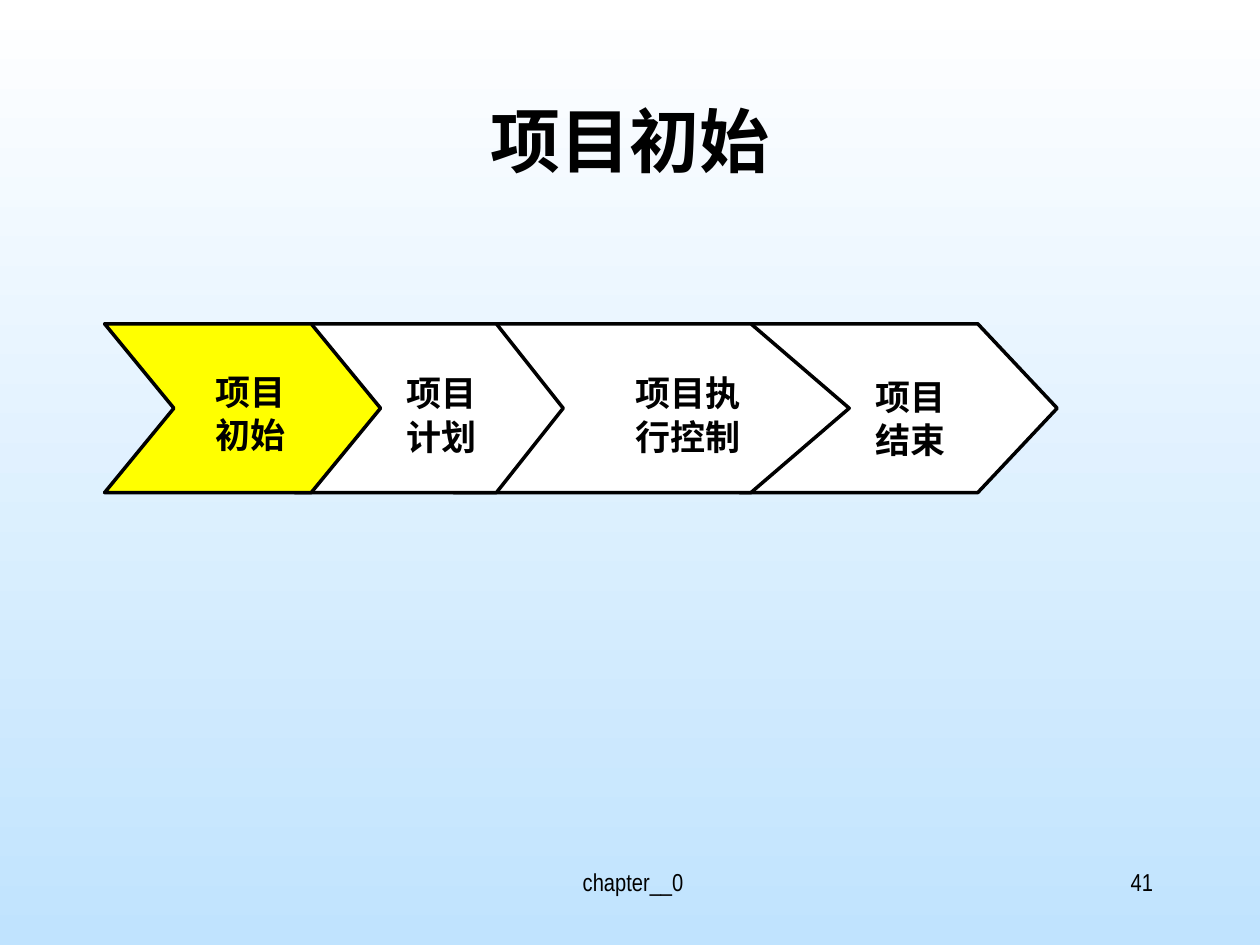
import pptx
import pptx.util
import pptx.dml.color
import pptx.enum.shapes
import pptx.enum.text
import pptx.oxml.ns
import lxml.etree

Inches = pptx.util.Inches
Pt = pptx.util.Pt
Align = pptx.enum.text.PP_ALIGN
Anchor = pptx.enum.text.MSO_ANCHOR

COLORS = {"ink": "000000", "plain": "FFFFFF", "active": "FFFF00", "sky": "C0E3FE"}
LATIN = "Arial Narrow"
HAN = "Noto Sans CJK SC"


def color(name):
    return pptx.dml.color.RGBColor.from_string(COLORS[name])


def style(para, size, face=LATIN, bold=False, align=Align.CENTER, pitch=None):
    para.alignment = align
    if pitch:
        para.line_spacing = Pt(pitch)
    font = para.font
    font.size = Pt(size)
    font.bold = bold
    font.name = face
    font.color.rgb = color("ink")
    east = lxml.etree.SubElement(para._p.pPr.find(pptx.oxml.ns.qn("a:defRPr")),
                                 pptx.oxml.ns.qn("a:ea"))
    east.set("typeface", HAN)


def back(slide):
    fill = slide.background.fill
    fill.gradient()
    fill.gradient_angle = 270
    for stop, name in zip(fill.gradient_stops, ("plain", "sky")):
        stop.color.rgb = color(name)


def title(slide, text, left, top, width, height):
    shape = slide.shapes.title
    shape.left, shape.top = Inches(left), Inches(top)
    shape.width, shape.height = Inches(width), Inches(height)
    frame = shape.text_frame
    frame.text = text
    frame.auto_size = pptx.enum.text.MSO_AUTO_SIZE.NONE
    frame.vertical_anchor = Anchor.TOP
    style(frame.paragraphs[0], 40, HAN, True, pitch=52)


def note(slide, text, align, left, top, width, height):
    box = slide.shapes.add_textbox(Inches(left), Inches(top), Inches(width), Inches(height))
    frame = box.text_frame
    frame.word_wrap = True
    frame.text = text
    style(frame.paragraphs[0], 14, align=align)


def step(slide, lines, fill, notch, push, drop, left, top, width, height):
    shape = slide.shapes.add_shape(pptx.enum.shapes.MSO_SHAPE.CHEVRON, Inches(left),
                                   Inches(top), Inches(width), Inches(height))
    shape.adjustments[0] = notch / height
    shape.shadow.inherit = False
    shape.fill.solid()
    shape.fill.fore_color.rgb = color(fill)
    shape.line.color.rgb = color("ink")
    shape.line.width = Pt(2)
    frame = shape.text_frame
    frame.word_wrap = True
    frame.vertical_anchor = Anchor.MIDDLE
    frame.margin_left, frame.margin_right = Inches(push), 0
    frame.margin_top, frame.margin_bottom = Inches(0.05 + drop), Inches(0.05)
    frame.text = "\n".join(lines)
    for para in frame.paragraphs:
        style(para, 20, bold=True, pitch=25)


def chain(slide, top, height):
    steps = [
        (("项目", "结束"), "plain", 0.63, 0.2, 0.14, 5.87, 2.52),
        (("项目执", "行控制"), "plain", 0.78, 0.58, 0.09, 3.6, 3.14),
        (("项目", "计划"), "plain", 0.53, 0.2, 0.09, 2.34, 2.13),
        (("项目", "初始"), "active", 0.55, 0.12, 0.06, 0.83, 2.19),
    ]
    for lines, fill, notch, push, drop, left, width in steps:
        step(slide, lines, fill, notch, push, drop, left, top, width, height)


def main():
    deck = pptx.Presentation()
    deck.slide_width, deck.slide_height = Inches(10), Inches(7.5)
    slide = deck.slides.add_slide(deck.slide_layouts[5])
    back(slide)
    note(slide, "chapter__0", Align.CENTER, 3.44, 6.83, 3.17, 0.5)
    note(slide, "41", Align.RIGHT, 7.17, 6.83, 2.08, 0.5)
    title(slide, "项目初始", 0.75, 0.67, 8.5, 1.25)
    chain(slide, 2.57, 1.34)
    deck.save("out.pptx")


if __name__ == "__main__":
    main()
